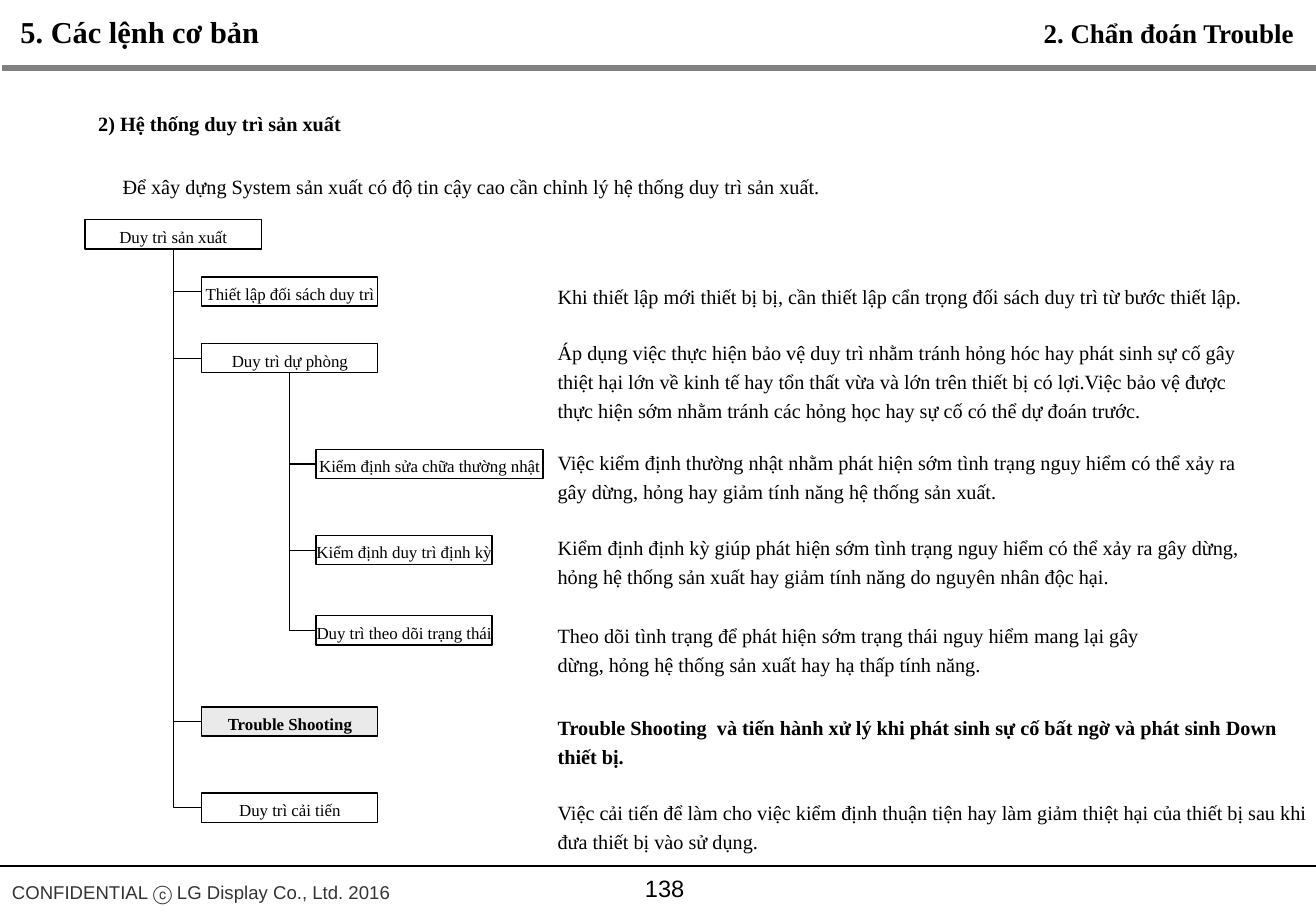
from pptx import Presentation
from pptx.dml.color import RGBColor
from pptx.enum.shapes import MSO_CONNECTOR as Link, MSO_SHAPE as Shape
from pptx.enum.text import MSO_ANCHOR as Anchor, PP_ALIGN as Align
from pptx.oxml.ns import qn
from pptx.util import Inches, Pt

ROOT = ("Duy trì sản xuất", 0.7, 1.81, 1.45)
MAIN = [
    ("Thiết lập đối sách duy trì", 2.28),
    ("Duy trì dự phòng", 2.83),
    ("Trouble Shooting", 5.82),
    ("Duy trì cải tiến", 6.53),
]
CHECKS = [
    ("Kiểm định sửa chữa thường nhật", 3.7, 1.87),
    ("Kiểm định duy trì định kỳ", 4.41, 1.45),
    ("Duy trì theo dõi trạng thái", 5.07, 1.45),
]
NOTES = [
    (2.25, 6.1, "Khi thiết lập mới thiết bị bị, cần thiết lập cẩn trọng đối sách duy trì từ bước thiết lập."),
    (2.71, 5.8, "Áp dụng việc thực hiện bảo vệ duy trì nhằm tránh hỏng hóc hay phát sinh sự cố gây "
     "thiệt hại lớn về kinh tế hay tổn thất vừa và lớn trên thiết bị có lợi.Việc bảo vệ được "
     "thực hiện sớm nhằm tránh các hỏng học hay sự cố có thể dự đoán trước."),
    (3.62, 5.87, "Việc kiểm định thường nhật nhằm phát hiện sớm tình trạng nguy hiểm có thể xảy ra "
     "gây dừng, hỏng hay giảm tính năng hệ thống sản xuất."),
    (4.32, 5.88, "Kiểm định định kỳ giúp phát hiện sớm tình trạng nguy hiểm có thể xảy ra gây dừng, "
     "hỏng hệ thống sản xuất hay giảm tính năng do nguyên nhân độc hại."),
    (5.04, 5.03, "Theo dõi tình trạng để phát hiện sớm trạng thái nguy hiểm mang lại gây "
     "dừng, hỏng hệ thống sản xuất hay hạ thấp tính năng."),
    (5.8, 6.39, "Trouble Shooting  và tiến hành xử lý khi phát sinh sự cố bất ngờ và phát sinh Down thiết bị."),
    (6.5, 6.39, "Việc cải tiến để làm cho việc kiểm định thuận tiện hay làm giảm thiệt hại của thiết bị "
     "sau khi đưa thiết bị vào sử dụng."),
]


def tint(color, code):
    """Set a colour from a hex string."""
    color.rgb = RGBColor.from_string(code)


def write(para, text, size=12, bold=False, font="Times New Roman", code="000000",
          align=Align.LEFT, pitch=1.2, indent=0, before=0):
    """Fill a paragraph with formatted text."""
    if indent:
        para._p.get_or_add_pPr().set("marL", str(Inches(indent)))
    para.alignment = align
    para.line_spacing = pitch
    if before:
        para.space_before = Pt(before)
    run = para.add_run()
    run.text = text
    run.font.name, run.font.size, run.font.bold = font, Pt(size), bold
    tint(run.font.color, code)


def label(slide, box, text, wrap=True, anchor=Anchor.TOP, **style):
    """Add a text box and return its frame."""
    frame = slide.shapes.add_textbox(*map(Inches, box)).text_frame
    frame.word_wrap = wrap
    frame.vertical_anchor = anchor
    write(frame.paragraphs[0], text, **style)
    return frame


def node(slide, text, left, top, width, fill=None, bold=False):
    """Add an outlined box of the tree."""
    rect = slide.shapes.add_shape(Shape.RECTANGLE, *map(Inches, (left, top, width, 0.24)))
    rect.shadow.inherit = False
    if fill:
        rect.fill.solid()
        tint(rect.fill.fore_color, fill)
    else:
        rect.fill.background()
    tint(rect.line.color, "000000")
    rect.line.width = Pt(0.75)
    rect.text_frame.word_wrap = False
    rect.text_frame.vertical_anchor = Anchor.MIDDLE
    write(rect.text_frame.paragraphs[0], text, size=10, bold=bold, align=Align.CENTER)
    return rect


def rule(slide, x1, y1, x2, y2, code="000000", width=0.75, kind=Link.STRAIGHT):
    """Add a line between two points."""
    line = slide.shapes.add_connector(kind, x1, y1, x2, y2)
    tint(line.line.color, code)
    line.line.width = Pt(width)
    props = line._element.spPr
    props.append(props.makeelement(qn("a:effectLst"), {}))
    return line


def branch(slide, top, kids):
    """Join a box to each child with a line that turns once, down then right."""
    x, y = top.left + top.width // 2, top.top + top.height
    for kid in kids:
        mid = kid.top + kid.height // 2
        wide, high = kid.left - x, mid - y
        line = rule(slide, x, y, kid.left, mid, kind=Link.ELBOW)
        line.begin_connect(top, 2)
        line.end_connect(kid, 1)
        line.left, line.top = x + (wide - high) // 2, y + (high - wide) // 2
        line.width, line.height = high, wide
        props = line._element.spPr
        props.find(qn("a:prstGeom")).set("prst", "bentConnector2")
        turn = props.find(qn("a:xfrm"))
        turn.set("rot", "16200000")
        turn.set("flipH", "1")


def frame_page(slide):
    """Add the titles, rules and footer."""
    wide = Inches(10.83)
    rule(slide, Inches(0.02), Inches(0.56), wide, Inches(0.56), "808080", 3)
    rule(slide, 0, Inches(7.13), wide, Inches(7.13))
    label(slide, (0, 7.17, 3.34, 0.3), "CONFIDENTIAL ⓒ LG Display Co., Ltd. 2016",
          wrap=False, size=11, font="Arial", code="333333")
    label(slide, (4.43, 7.06, 2.08, 0.5), "138", anchor=Anchor.MIDDLE,
          size=14, font="Arial", align=Align.CENTER, pitch=1)
    label(slide, (0.07, 0.06, 2.19, 0.4), "5. Các lệnh cơ bản",
          wrap=False, size=18, bold=True, pitch=1)
    label(slide, (8.49, 0.09, 2.28, 0.37), "2. Chẩn đoán Trouble",
          wrap=False, size=16, bold=True, pitch=1)


def main():
    """Build the slide and save it."""
    deck = Presentation()
    deck.slide_width, deck.slide_height = Inches(10.83), Inches(7.5)
    slide = deck.slides.add_slide(deck.slide_layouts[6])
    frame_page(slide)

    intro = label(slide, (0.32, 0.83, 7.34, 0.87), "2) Hệ thống duy trì sản xuất",
                  bold=True, indent=0.39)
    write(intro.add_paragraph(),
          "Để xây dựng System sản xuất có độ tin cậy cao cần chỉnh lý hệ thống duy trì sản xuất.",
          indent=0.59, before=20)

    root = node(slide, *ROOT)
    steps = []
    for text, top in MAIN:
        key = text == "Trouble Shooting"
        steps.append(node(slide, text, 1.66, top, 1.45, "EAEAEA" if key else None, key))
    checks = [node(slide, text, 2.6, top, width) for text, top, width in CHECKS]
    branch(slide, root, steps)
    branch(slide, steps[1], checks)

    for top, width, text in NOTES:
        label(slide, (4.49, top, width, 0.59), text, bold=text.startswith("Trouble"))
    deck.save("out.pptx")


if __name__ == "__main__":
    main()
